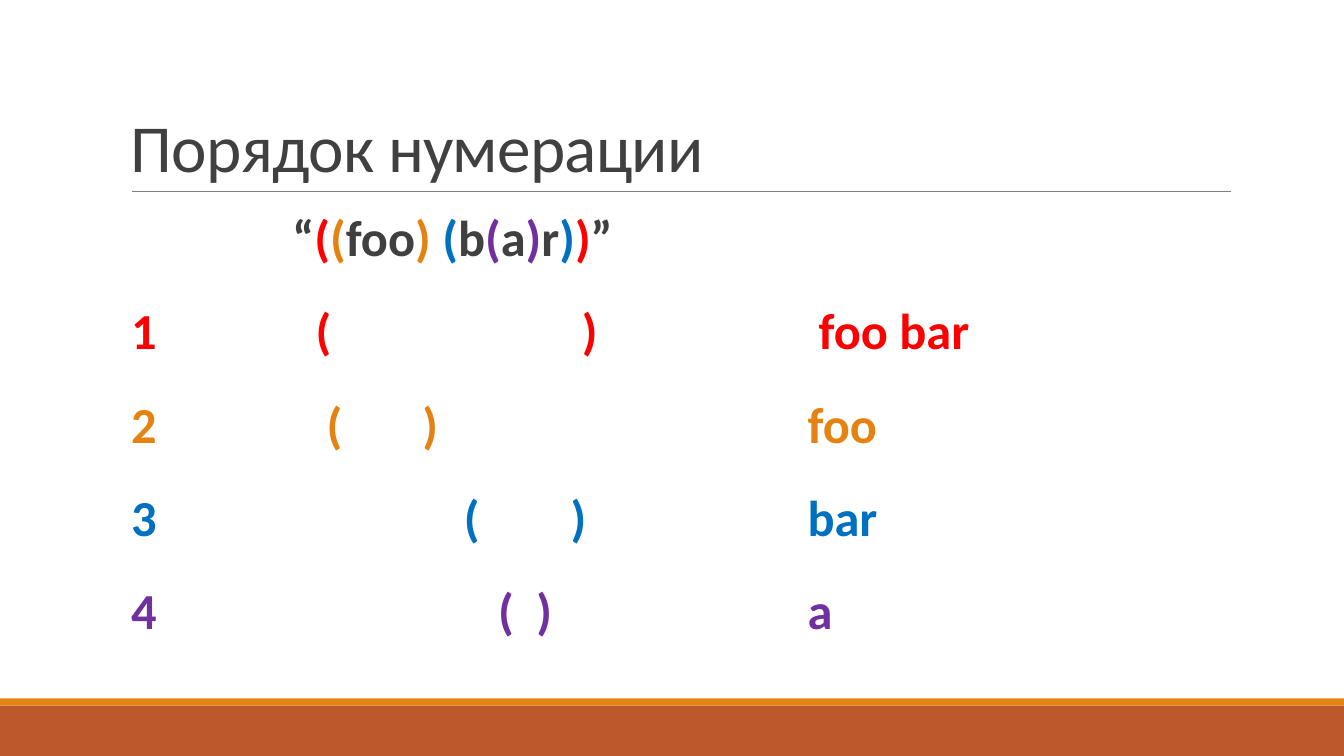
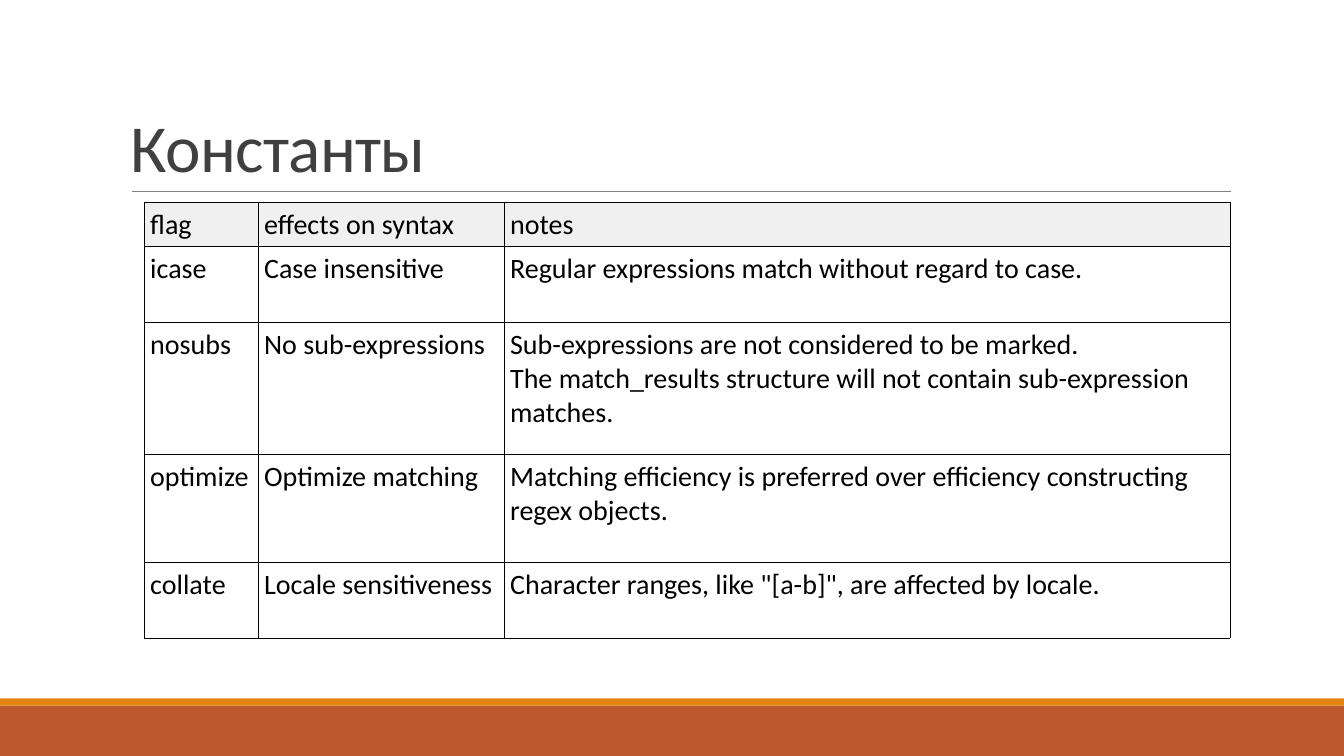
from dataclasses import dataclass

from lxml import etree
from pptx import Presentation, util as u
from pptx.dml.color import RGBColor
from pptx.enum import shapes as s, text as t
from pptx.oxml.ns import qn

SCALE = 9144  # EMU in one px, at 100 px to the inch
WIDTH, HEIGHT = 1333, 750
FONT = "Calibri"
WHITE, BLACK, GRAY, INK = "FFFFFF", "000000", "808080", "404040"
RUST, AMBER, PALE = "BD582C", "E48312", "F0F0F0"
RED, BLUE, PLUM = "FF0000", "0070C0", "7030A0"


@dataclass(frozen=True)
class Box:
    x: int
    y: int
    w: int
    h: int

    def emu(self) -> list[int]:
        return [px(n) for n in (self.x, self.y, self.w, self.h)]


@dataclass(frozen=True)
class Group:
    """A numbered bracket pair, with its tab stops, and what it captures."""
    color: str
    stops: tuple[int, int]
    match: str
    indent: int = 0


@dataclass(frozen=True)
class Edge:
    color: str
    points: float


BANDS = [(Box(0, 700, WIDTH, 50), RUST), (Box(0, 693, WIDTH, 7), AMBER)]
TITLE = Box(120, 31, 1100, 159)

# Slide 1: the pattern and its groups
PATTERN = [("“", INK), ("(", RED), ("(", AMBER), ("foo", INK), (") ", AMBER),
           ("(", BLUE), ("b", INK), ("(", PLUM), ("a", INK), (")", PLUM),
           ("r", INK), (")", BLUE), (")", RED), ("”", INK)]
GROUPS = [Group(RED, (23, 287), "foo bar", 11), Group(AMBER, (34, 129), "foo"),
          Group(BLUE, (170, 276), "bar"), Group(PLUM, (204, 242), "a")]
GROUP_COLS = [160, 511, 429]
ROW, PITCH = 92, 92.5

# Slide 2: the flags
FLAG_COLS = [113, 244, 720]
FLAG_ROWS = [44, 75, 131, 107, 75]
FLAGS = [
    ("flag", "effects on syntax", "notes"),
    ("icase", "Case insensitive",
     "Regular expressions match without regard to case."),
    ("nosubs", "No sub-expressions",
     "Sub-expressions are not considered to be marked.\n"
     "The match_results structure will not contain sub-expression matches."),
    ("optimize", "Optimize matching",
     "Matching efficiency is preferred over efficiency constructing regex objects."),
    ("collate", "Locale sensitiveness",
     'Character ranges, like "[a-b]", are affected by locale.'),
]


def px(n: float) -> int:
    return round(n * SCALE)


def rgb(color: str) -> RGBColor:
    return RGBColor.from_string(color)


def style(para, size: int, color: str, bold: bool = False) -> None:
    font = para.font
    font.name, font.size, font.bold = FONT, u.Pt(size), bold
    font.color.rgb = rgb(color)


def set_tabs(para, stops: tuple[int, ...]) -> None:
    tabs = etree.SubElement(para._p.get_or_add_pPr(), qn("a:tabLst"))
    for stop in stops:
        etree.SubElement(tabs, qn("a:tab"), pos=str(px(stop)), algn="l")


def paint(cell, fill: str, edge: Edge) -> None:
    """Give a cell its four borders, then its fill."""
    props = cell._tc.get_or_add_tcPr()
    for side in ("lnL", "lnR", "lnT", "lnB"):
        line = etree.SubElement(props, qn(f"a:{side}"), w=str(u.Pt(edge.points)))
        solid = etree.SubElement(line, qn("a:solidFill"))
        etree.SubElement(solid, qn("a:srgbClr"), val=edge.color)
    cell.fill.solid()
    cell.fill.fore_color.rgb = rgb(fill)


def add_grid(slide, x: int, y: float, cols: list[int], rows: list[int], edge: Edge):
    box = Box(x, y, sum(cols), sum(rows))
    grid = slide.shapes.add_table(len(rows), len(cols), *box.emu()).table
    grid.first_row = grid.horz_banding = False
    for col, wide in zip(grid.columns, cols):
        col.width = px(wide)
    for row, high in zip(grid.rows, rows):
        row.height = px(high)
    for cell in grid.iter_cells():
        paint(cell, WHITE, edge)
    return grid


def add_base(deck, title: str):
    """Add a slide with the shared bands, rule and title."""
    slide = deck.slides.add_slide(deck.slide_layouts[6])
    for box, color in BANDS:
        band = slide.shapes.add_shape(s.MSO_SHAPE.RECTANGLE, *box.emu())
        band.shadow.inherit = False
        band.fill.solid()
        band.fill.fore_color.rgb = rgb(color)
        band.line.fill.background()
    rule = slide.shapes.add_connector(
        s.MSO_CONNECTOR.STRAIGHT, px(131), px(190), px(1221), px(190))
    rule.line.color.rgb = rgb(GRAY)
    rule.line.width = u.Pt(0.5)
    etree.SubElement(rule._element.spPr, qn("a:effectLst"))

    frame = slide.shapes.add_textbox(*TITLE.emu()).text_frame
    frame.word_wrap = True
    frame.vertical_anchor = t.MSO_ANCHOR.BOTTOM
    para = frame.paragraphs[0]
    para.text = title
    para.line_spacing = 0.85
    style(para, 48, INK)
    para.runs[0]._r.get_or_add_rPr().set("spc", "-50")
    return slide


def add_order(deck) -> None:
    slide = add_base(deck, "Порядок нумерации")
    edge = Edge(WHITE, 1)
    grids = [add_grid(slide, 120, 202 + i * PITCH, GROUP_COLS, [ROW], edge)
             for i in range(len(GROUPS) + 1)]

    # Pattern in the colours of its groups
    para = grids[0].cell(0, 1).text_frame.paragraphs[0]
    style(para, 36, INK, True)
    for part, color in PATTERN:
        run = para.add_run()
        run.text = part
        run.font.color.rgb = rgb(color)

    # One line for each group
    for num, (grid, group) in enumerate(zip(grids[1:], GROUPS), 1):
        paras = [cell.text_frame.paragraphs[0] for cell in grid.iter_cells()]
        set_tabs(paras[1], group.stops)
        if group.indent:
            paras[2]._p.get_or_add_pPr().set("marL", str(px(group.indent)))
        for para, words in zip(paras, (str(num), "\t(\t)", group.match)):
            para.text = words
            style(para, 36, group.color, True)


def add_flags(deck) -> None:
    slide = add_base(deck, "Константы")
    grid = add_grid(slide, 143, 201, FLAG_COLS, FLAG_ROWS, Edge(BLACK, 0.75))
    for r, row in enumerate(FLAGS):
        for c, words in enumerate(row):
            cell = grid.cell(r, c)
            cell.margin_left = cell.margin_right = px(6)
            cell.margin_top = cell.margin_bottom = px(5)
            if r == 0:
                cell.fill.fore_color.rgb = rgb(PALE)
            para = cell.text_frame.paragraphs[0]
            para.text = words
            style(para, 20, BLACK)


def main() -> None:
    deck = Presentation()
    deck.slide_width, deck.slide_height = px(WIDTH), px(HEIGHT)
    add_order(deck)
    add_flags(deck)
    deck.save("out.pptx")


if __name__ == "__main__":
    main()
